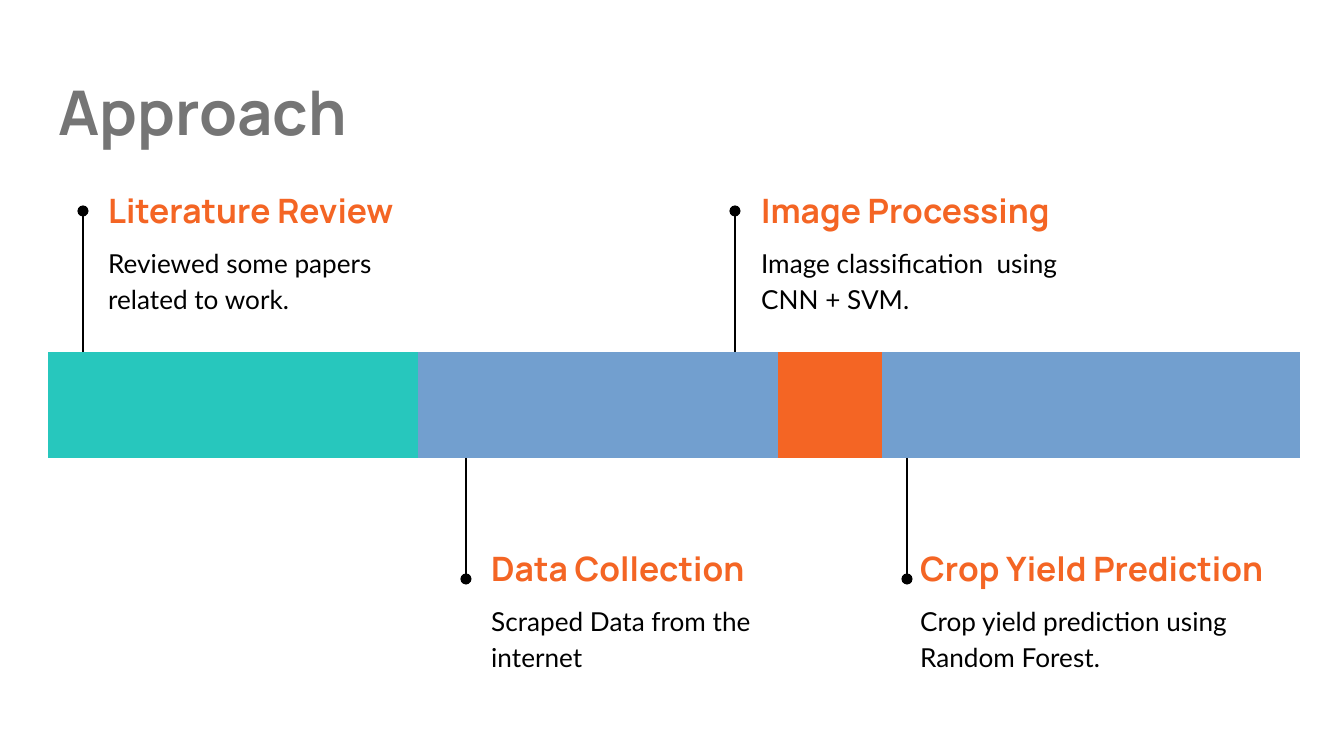
import dataclasses

import lxml.etree
import pptx
import pptx.dml.color
import pptx.enum.shapes
import pptx.enum.text
import pptx.oxml.ns
import pptx.util

EMU_PER_PX = 914400 / 134.4
NO_STYLE_NO_GRID = "{2D5ABB26-0587-4C30-8999-92F81FD0307C}"


@dataclasses.dataclass(frozen=True)
class Theme:
    grey: str = "757575"
    teal: str = "27C7BD"
    orange: str = "F46524"
    black: str = "000000"
    display_font: str = "Manrope"
    body_font: str = "Lato"
    title_size: int = 33
    heading_size: int = 18
    body_size: int = 14
    line_width: float = 0.75


THEME = Theme()
TITLE = {"name": THEME.display_font, "size": pptx.util.Pt(THEME.title_size), "bold": True}
HEADING = {"name": THEME.display_font, "size": pptx.util.Pt(THEME.heading_size), "bold": True}
BODY = {"name": THEME.body_font, "size": pptx.util.Pt(THEME.body_size), "bold": False}

# Timeline band: the columns, then the phases as (column count, colour)
BAND_LEFT, BAND_TOP, BAND_HEIGHT = 48, 352, 106
COLUMN, SHORT_COLUMN, LONG_COLUMN, END_COLUMN = 104, 58, 152, 105
COLUMNS = [COLUMN] * 3 + [SHORT_COLUMN, LONG_COLUMN] + [COLUMN] * 5 + [END_COLUMN] * 2
PHASES = [(4, THEME.teal), (8, THEME.orange)]

# Pin x, text left, heading top, heading width, heading height, body width, above band
STEPS = [
    ("Literature Review", "Reviewed some papers related to work.",
     83, 95, 181, 340, 58, 340, True),
    ("Data Collection", "Scraped Data from the internet",
     466, 478, 539, 340, 58, 340, False),
    ("Image Processing", "Image classification  using CNN + SVM.",
     735, 748, 181, 345, 58, 345, True),
    ("Crop Yield Prediction", "Crop yield prediction using Random Forest.",
     907, 907, 526, 379, 84, 345, False),
]
BODY_TOP = {True: 229, False: 587}
BODY_HEIGHT = 85
PIN_END = {True: 211, False: 579}


def px(value):
    return pptx.util.Emu(round(value * EMU_PER_PX))


def rgb(value):
    return pptx.dml.color.RGBColor.from_string(value)


def add_text(page, text, bounds, font, color, anchor="TOP", spacing=None):
    box = page.shapes.add_textbox(*map(px, bounds))
    margin = pptx.util.Inches(0.1)
    frame_format = {
        "word_wrap": True,
        "vertical_anchor": getattr(pptx.enum.text.MSO_ANCHOR, anchor),
        "margin_left": margin, "margin_right": margin,
        "margin_top": margin, "margin_bottom": margin,
    }
    for name, value in frame_format.items():
        setattr(box.text_frame, name, value)
    para = box.text_frame.paragraphs[0]
    para.line_spacing = spacing
    span = para.add_run()
    span.text = text
    for name, value in font.items():
        setattr(span.font, name, value)
    span.font.color.rgb = rgb(color)


def add_band(page):
    table = page.shapes.add_table(
        1, len(COLUMNS), px(BAND_LEFT), px(BAND_TOP), px(sum(COLUMNS)), px(BAND_HEIGHT)
    ).table
    table.first_row = table.horz_banding = False
    for style in table._tbl.tblPr.iter(pptx.oxml.ns.qn("a:tableStyleId")):
        style.text = NO_STYLE_NO_GRID
    for column, width in zip(table.columns, COLUMNS):
        column.width = px(width)
    first = 0
    for count, color in PHASES:
        cell = table.cell(0, first)
        cell.merge(table.cell(0, first + count - 1))
        cell.fill.solid()
        cell.fill.fore_color.rgb = rgb(color)
        first += count


def add_pin(page, x, start, end):
    line = page.shapes.add_connector(
        pptx.enum.shapes.MSO_CONNECTOR.STRAIGHT, px(x), px(start), px(x), px(end)
    )
    line.line.color.rgb = rgb(THEME.black)
    line.line.width = pptx.util.Pt(THEME.line_width)
    qn = pptx.oxml.ns.qn
    outline = line.line._get_or_add_ln()
    lxml.etree.SubElement(outline, qn("a:tailEnd"), type="oval", w="med", len="med")
    lxml.etree.SubElement(line._element.spPr, qn("a:effectLst"))


def add_step(page, heading, body, pin_x, left, top, width, height, body_width, above):
    add_pin(page, pin_x, BAND_TOP if above else BAND_TOP + BAND_HEIGHT, PIN_END[above])
    add_text(page, heading, (left, top, width, height), HEADING, THEME.orange, "MIDDLE")
    add_text(page, body, (left, BODY_TOP[above], body_width, BODY_HEIGHT),
             BODY, THEME.black, spacing=1.15)


def main():
    deck = pptx.Presentation()
    deck.slide_width, deck.slide_height = px(1344), px(756)
    page = deck.slides.add_slide(deck.slide_layouts[6])

    # Title and timeline band
    add_text(page, "Approach", (45, 61, 1253, 94), TITLE, THEME.grey)
    add_band(page)

    # Steps pinned above and below the band
    for step in STEPS:
        add_step(page, *step)

    deck.save("out.pptx")


if __name__ == "__main__":
    main()
